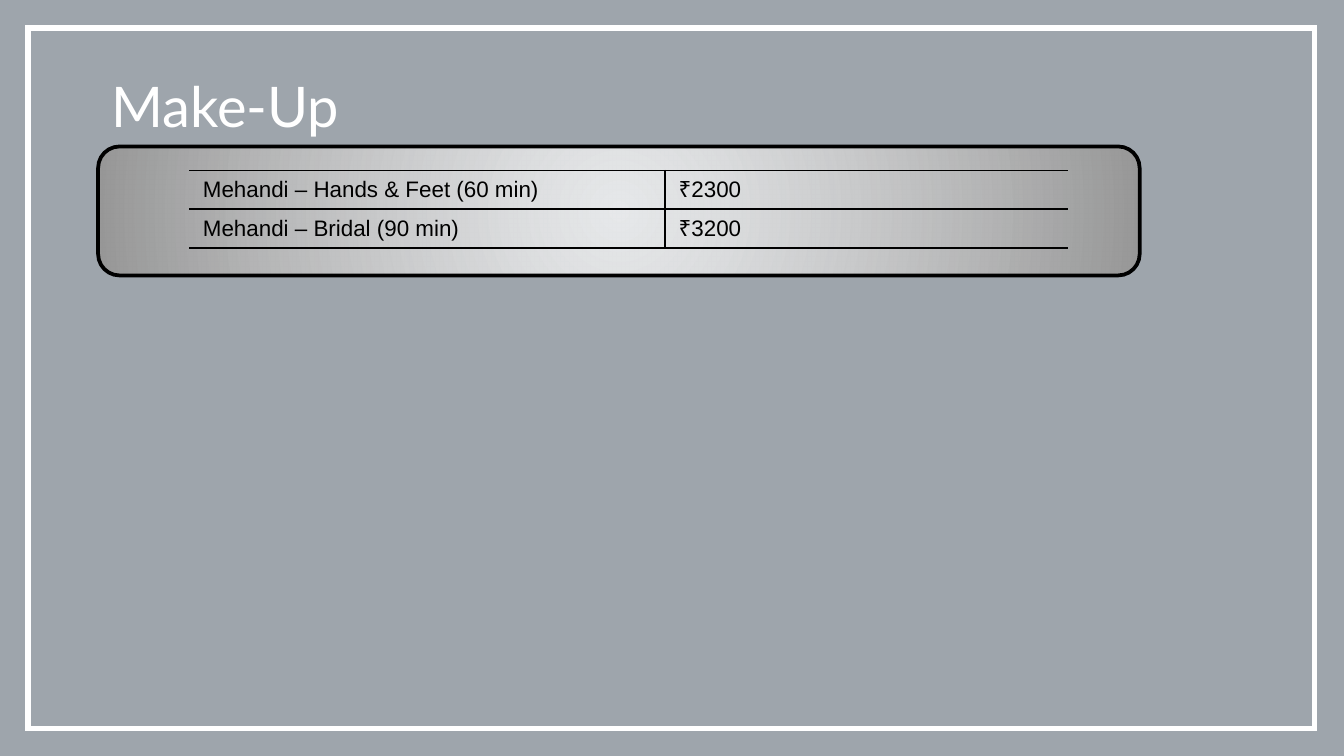
from lxml.etree import SubElement
from pptx import Presentation
from pptx.dml.color import RGBColor
from pptx.enum.shapes import MSO_SHAPE
from pptx.enum.text import MSO_ANCHOR, MSO_AUTO_SIZE
from pptx.oxml import parse_xml
from pptx.oxml.ns import nsdecls, qn
from pptx.util import Inches, Pt


def rgb(value):
    return RGBColor.from_string(value)


def write(tf, text, size=12, font="Arial", color="000000"):
    r = tf.paragraphs[0].add_run()
    r.text = text
    r.font.size = Pt(size)
    r.font.name = font
    r.font.color.rgb = rgb(color)


class Deck:
    ink, white, tint = "000000", "FFFFFF", "021526"

    def __init__(self, width, height):
        self.prs = Presentation()
        self.prs.slide_width, self.prs.slide_height = Inches(width), Inches(height)
        self.s = self.prs.slides.add_slide(self.prs.slide_layouts[6])

    def box(self, x, y, w, h, kind=MSO_SHAPE.RECTANGLE, fill=None, alpha=100,
            line=None, weight=1):
        sp = self.s.shapes.add_shape(kind, Inches(x), Inches(y), Inches(w), Inches(h))
        sp.shadow.inherit = False
        if fill:
            sp.fill.solid()
            sp.fill.fore_color.rgb = rgb(fill)
            clr = sp.fill._xPr.find(qn("a:solidFill"))[0]
            SubElement(clr, qn("a:alpha"), val=str(alpha * 1000))
        else:
            sp.fill.background()
        if line:
            sp.line.color.rgb = rgb(line)
            sp.line.width = Pt(weight)
            SubElement(sp.line._get_or_add_ln(), qn("a:miter"), lim="800000")
        else:
            sp.line.fill.background()
        return sp

    def radial(self, sp, inner, alpha, outer):
        grad = parse_xml(
            f'<a:gradFill {nsdecls("a")} rotWithShape="1"><a:gsLst>'
            f'<a:gs pos="0"><a:srgbClr val="{inner}"><a:alpha val="{alpha * 1000}"/>'
            f'</a:srgbClr></a:gs><a:gs pos="100000"><a:srgbClr val="{outer}"/></a:gs>'
            '</a:gsLst><a:path path="circle"><a:fillToRect l="50000" t="50000" '
            'r="50000" b="50000"/></a:path></a:gradFill>')
        spPr = sp.fill._xPr
        spPr.replace(spPr.find(qn("a:noFill")), grad)

    def text(self, x, y, w, h, text, **style):
        tf = self.s.shapes.add_textbox(Inches(x), Inches(y), Inches(w), Inches(h)).text_frame
        tf.word_wrap = True
        tf.auto_size = MSO_AUTO_SIZE.SHAPE_TO_FIT_TEXT
        write(tf, text, **style)

    def border(self, cell, sides):
        tcPr = cell._tc.get_or_add_tcPr()
        for side in "LRTB":
            ln = SubElement(tcPr, qn(f"a:ln{side}"), w=str(Pt(1)))
            if side in sides:
                fill = SubElement(ln, qn("a:solidFill"))
                SubElement(fill, qn("a:srgbClr"), val=self.ink)
            else:
                SubElement(ln, qn("a:noFill"))

    def table(self, x, y, widths, row_h, rows):
        table = self.s.shapes.add_table(
            len(rows), len(widths), Inches(x), Inches(y),
            Inches(sum(widths)), Inches(row_h * len(rows))).table
        table.first_row = table.horz_banding = False
        for col, w in zip(table.columns, widths):
            col.width = Inches(w)
        for i, row in enumerate(rows):
            for j, text in enumerate(row):
                cell = table.cell(i, j)
                cell.vertical_anchor = MSO_ANCHOR.TOP
                # Rules above and below, and between columns only
                self.border(cell, "TB" + "L" * (j > 0) + "R" * (j < len(row) - 1))
                cell.fill.background()
                write(cell.text_frame, text, color=self.ink)


def main():
    deck = Deck(10, 10 * 9 / 16)

    # Tinted background and white frame
    deck.box(0, 0, 10, 5.64, fill=deck.tint, alpha=38)
    deck.box(0.21, 0.21, 9.57, 5.21, line=deck.white, weight=3)

    # Price panel
    panel = deck.box(0.73, 1.09, 7.75, 0.96, MSO_SHAPE.ROUNDED_RECTANGLE,
                     line=deck.ink, weight=2)
    deck.radial(panel, deck.white, 75, "979797")
    deck.table(1.41, 1.27, [3.54, 3], 0.2, [
        ("Mehandi – Hands & Feet (60 min)", "₹2300"),
        ("Mehandi – Bridal (90 min)", "₹3200"),
    ])

    # Title
    deck.text(0.73, 0.48, 4.85, 0.61, "Make-Up", size=30, font="Lato", color=deck.white)

    deck.prs.save("out.pptx")


if __name__ == "__main__":
    main()
